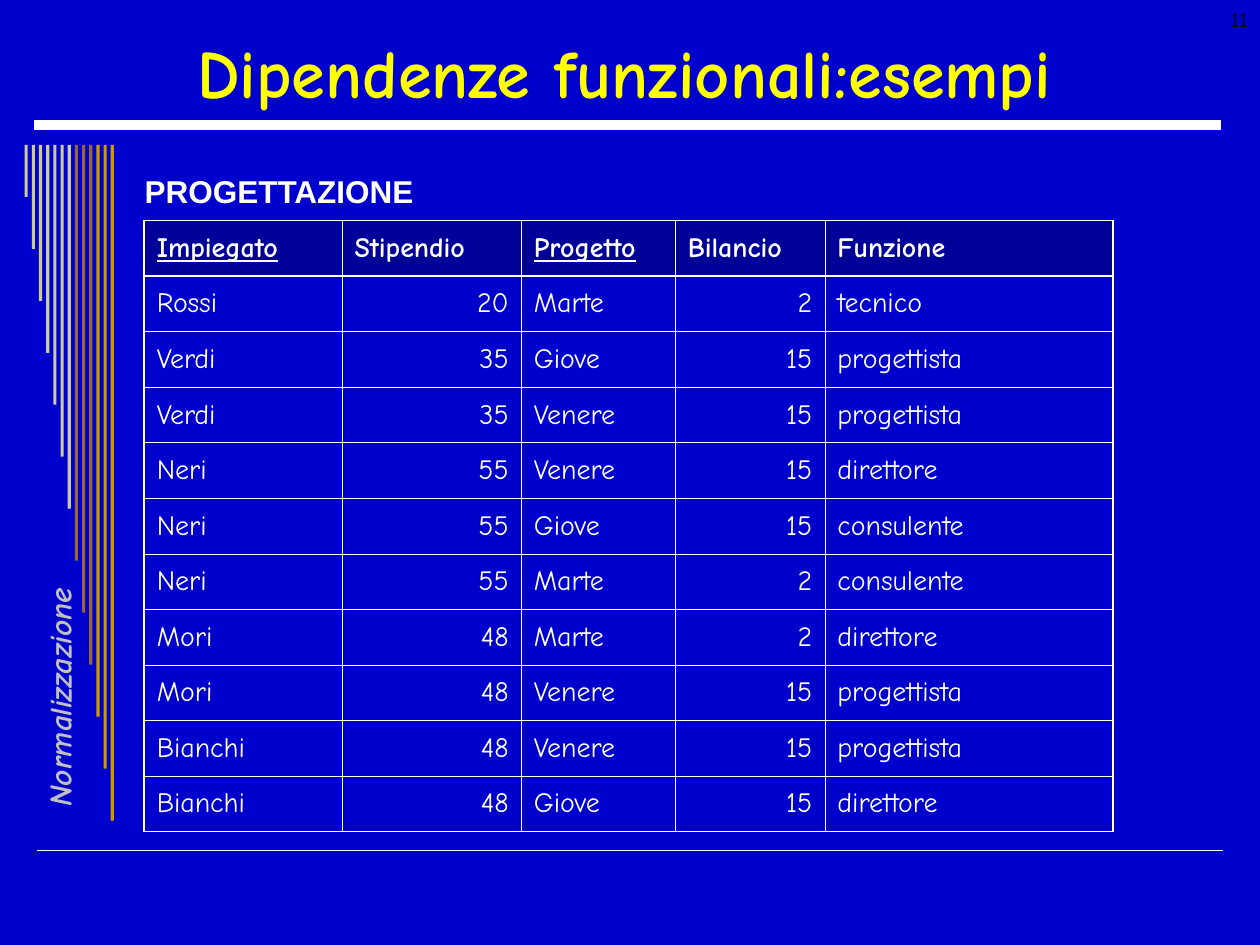
from dataclasses import dataclass, replace

from lxml import etree
from pptx import Presentation
from pptx.dml.color import RGBColor
from pptx.enum.shapes import MSO_CONNECTOR, MSO_SHAPE
from pptx.enum.text import MSO_ANCHOR, MSO_AUTO_SIZE, PP_ALIGN
from pptx.oxml.ns import qn
from pptx.util import Pt

LEFT, MID, RIGHT = PP_ALIGN.LEFT, PP_ALIGN.CENTER, PP_ALIGN.RIGHT
MIDDLE = MSO_ANCHOR.MIDDLE
RECT = MSO_SHAPE.RECTANGLE
STRAIGHT = MSO_CONNECTOR.STRAIGHT
FIXED = MSO_AUTO_SIZE.NONE
BLUE, NAVY, WHITE = "0000CC", "000099", "FFFFFF"
THIN, THICK = 0.45, 1.08


@dataclass(frozen=True)
class Face:
    size: float
    color: str = WHITE
    bold: bool = False
    italic: bool = False
    under: bool = False
    font: str = "Comic Neue"


@dataclass(frozen=True)
class Rule:
    left: float
    right: float
    y: float
    width: float


@dataclass(frozen=True)
class Column:
    name: str
    width: float
    align: PP_ALIGN = LEFT
    key: bool = False


RULES = (Rule(21, 699, 486, 1), Rule(19.5, 697.5, 71.5, 6))
BARS = ("CCCC99",) * 7 + ("996633",) * 3 + ("CC9900",) * 3
COLUMNS = (
    Column("Impiegato", 113, key=True),
    Column("Stipendio", 102.5, RIGHT),
    Column("Progetto", 88, key=True),
    Column("Bilancio", 85.5, RIGHT),
    Column("Funzione", 164.5),
)
ROWS = (
    ("Rossi", "20", "Marte", "2", "tecnico"),
    ("Verdi", "35", "Giove", "15", "progettista"),
    ("Verdi", "35", "Venere", "15", "progettista"),
    ("Neri", "55", "Venere", "15", "direttore"),
    ("Neri", "55", "Giove", "15", "consulente"),
    ("Neri", "55", "Marte", "2", "consulente"),
    ("Mori", "48", "Marte", "2", "direttore"),
    ("Mori", "48", "Venere", "15", "progettista"),
    ("Bianchi", "48", "Venere", "15", "progettista"),
    ("Bianchi", "48", "Giove", "15", "direttore"),
)
ROW_H = 31.75


def paint(target, color: str) -> None:
    """Give a fill one solid colour."""
    target.solid()
    target.fore_color.rgb = RGBColor.from_string(color)


def write(frame, text: str, face: Face, align: PP_ALIGN = LEFT):
    para = frame.paragraphs[0]
    para.alignment = align
    run = para.add_run()
    run.text = text
    font = run.font
    font.name, font.size = face.font, Pt(face.size)
    font.bold, font.italic, font.underline = face.bold, face.italic, face.under
    paint(font.fill, face.color)
    return run


def label(slide, box: tuple, text: str, face: Face, align: PP_ALIGN = LEFT,
          wrap: bool = True):
    shape = slide.shapes.add_textbox(*map(Pt, box))
    shape.text_frame.word_wrap = wrap
    return shape, write(shape.text_frame, text, face, align)


def add_stroke(parent, tag: str, color: str, width: float, at: int) -> None:
    """Insert a solid line element into parent at the given index."""
    line = etree.Element(qn(tag), w=str(Pt(width)))
    fill = etree.SubElement(line, qn("a:solidFill"))
    etree.SubElement(fill, qn("a:srgbClr"), val=color)
    parent.insert(at, line)


def draw_rule(slide, rule: Rule) -> None:
    line = slide.shapes.add_connector(
        STRAIGHT, Pt(rule.left), Pt(rule.y), Pt(rule.right), Pt(rule.y))
    paint(line.line.fill, WHITE)
    line.line.width = Pt(rule.width)
    etree.SubElement(line._element.spPr, qn("a:effectLst"))


def draw_bars(slide) -> None:
    group = slide.shapes.add_group_shape()
    for i, color in enumerate(BARS):
        bar = group.shapes.add_shape(
            RECT, Pt(14.1 + 4.1 * i), Pt(82.8), Pt(1.8), Pt(29.7 * (i + 1)))
        bar.shadow.inherit = False
        paint(bar.fill, color)
        bar.line.fill.background()


def draw_table(slide) -> None:
    wide = sum(col.width for col in COLUMNS)
    last, end = len(ROWS), len(COLUMNS) - 1
    table = slide.shapes.add_table(
        last + 1, end + 1, Pt(82.4), Pt(126), Pt(wide),
        Pt(ROW_H * (last + 1))).table
    table.first_row = table.horz_banding = False
    for row in table.rows:
        row.height = Pt(ROW_H)
    plain = Face(16)
    for c, col in enumerate(COLUMNS):
        table.columns[c].width = Pt(col.width)
        for r in range(last + 1):
            cell = table.cell(r, c)
            cell.vertical_anchor = MIDDLE
            edges = {"a:lnL": c == 0, "a:lnR": c == end,
                     "a:lnT": r <= 1, "a:lnB": r in (0, last)}
            props = cell._tc.get_or_add_tcPr()
            for at, (tag, heavy) in enumerate(edges.items()):
                add_stroke(props, tag, WHITE, THICK if heavy else THIN, at)
            if r == 0:
                paint(cell.fill, NAVY)
                head = replace(plain, bold=True, under=col.key)
                write(cell.text_frame, col.name, head)
            else:
                cell.fill.background()
                write(cell.text_frame, ROWS[r - 1][c], plain, col.align)


def draw_title(slide) -> None:
    title = slide.shapes.title
    title.left, title.top = Pt(25.2), Pt(15.1)
    title.width, title.height = Pt(663), Pt(51)
    frame = title.text_frame
    frame.auto_size = FIXED
    frame.vertical_anchor = MIDDLE
    write(frame, "Dipendenze funzionali:esempi",
          Face(39, "FFFF00", bold=True), MID)


def main() -> None:
    deck = Presentation()
    deck.slide_width, deck.slide_height = Pt(720), Pt(540)
    slide = deck.slides.add_slide(deck.slide_layouts[5])
    paint(slide.background.fill, BLUE)
    for rule in RULES:
        draw_rule(slide, rule)
    draw_bars(slide)
    side, run = label(slide, (-54, 377.3, 164, 17.3), "Normalizzazione",
                      Face(18, "C0C0C0", bold=True, italic=True), wrap=False)
    side.rotation = 270
    add_stroke(run.font._element, "a:ln", "333300", 0.75, 0)
    draw_title(slide)
    draw_table(slide)
    label(slide, (75.6, 95, 200, 29), "PROGETTAZIONE",
          Face(18, bold=True, font="Arial"))
    label(slide, (552, 0, 168, 36), "11", Face(12, "000000"), RIGHT)
    deck.save("out.pptx")


if __name__ == "__main__":
    main()
